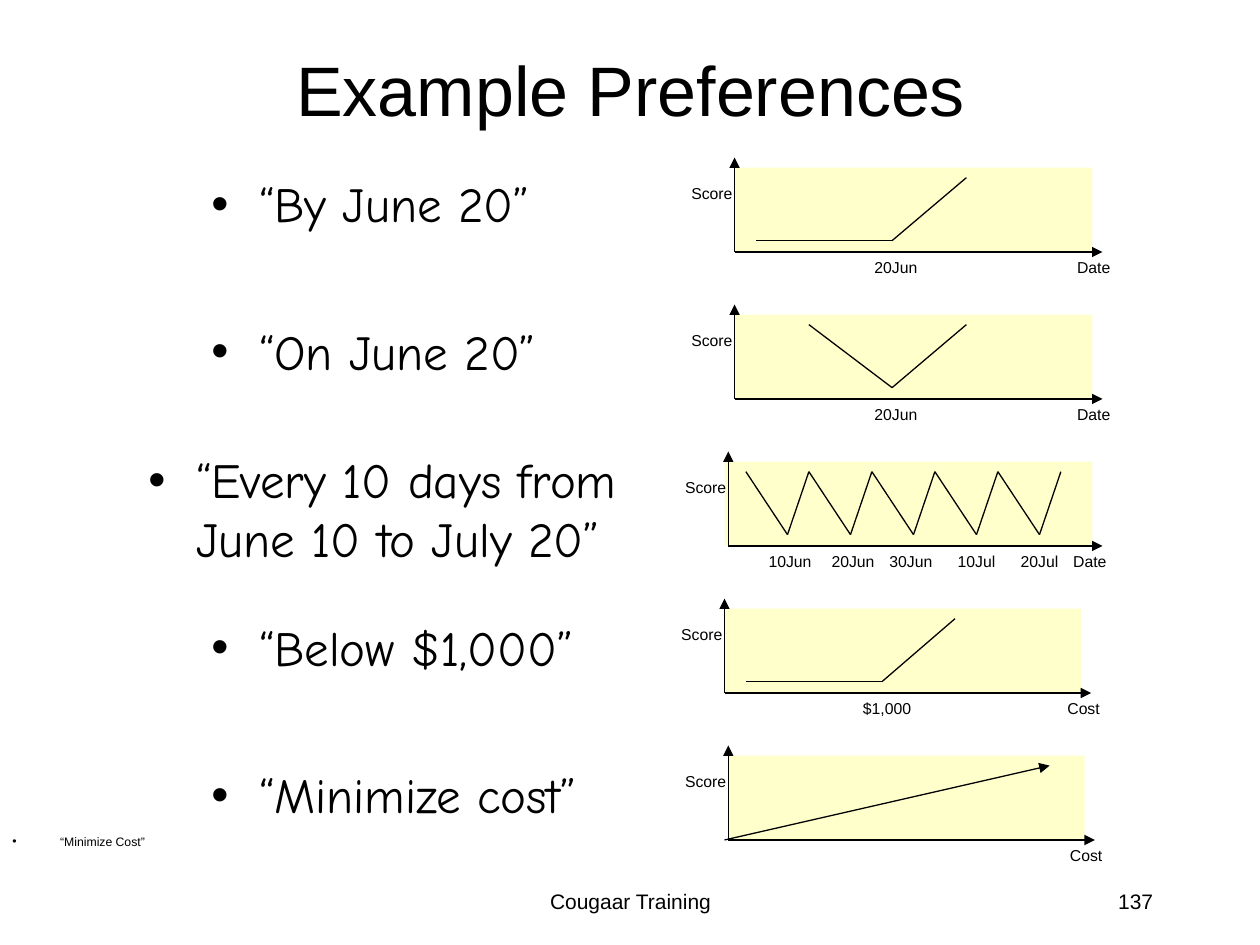
import itertools

import pptx
import pptx.dml.color
import pptx.enum.shapes
import pptx.enum.text
import pptx.oxml
import pptx.oxml.ns
import pptx.util

Inches = pptx.util.Inches
Pt = pptx.util.Pt
ALIGN = pptx.enum.text.PP_ALIGN

BLACK, CREAM = "000000", "FFFFCC"
FIRST_TOP, PITCH = 1.33, 7 / 6
AREA_HEIGHT, HIGH, LOW = 0.67, 0.08, 0.58
LABEL_WIDTH, LABEL_HEIGHT = 0.64, 0.25
INDENT = 0.38

BULLETS = [
    ("“By June 20”", 1.58, 1.33, 3.5, 0.57),
    ("“On June 20”", 1.58, 2.5, 3.5, 0.57),
    ("“Every 10 days from June 10 to July 20”", 1.08, 3.52, 4.33, 1.04),
    ("“Below $1,000”", 1.58, 4.85, 3.5, 0.57),
    ("“Minimize cost”", 1.58, 6.02, 3.5, 0.57),
]
ZIGZAG = [point for step in range(5)
          for point in ((5.92 + step / 2, HIGH), (6.25 + step / 2, LOW))]
CHARTS = [
    {"axis": 5.83, "area": (5.83, 8.67), "labels": [("20Jun", 7.11), ("Date", 8.68)],
     "curve": [(6, LOW), (7.08, LOW), (7.67, HIGH)]},
    {"axis": 5.83, "area": (5.83, 8.67), "labels": [("20Jun", 7.11), ("Date", 8.68)],
     "curve": [(6.42, HIGH), (7.08, LOW), (7.67, HIGH)]},
    {"axis": 5.78, "area": (5.75, 8.67),
     "labels": [("10Jun", 6.27), ("20Jun", 6.77), ("30Jun", 7.23), ("10Jul", 7.75),
                ("20Jul", 8.25), ("Date", 8.65)],
     "curve": ZIGZAG + [(8.42, HIGH)]},
    {"axis": 5.75, "area": (5.75, 8.58), "labels": [("$1,000", 7.04), ("Cost", 8.6)],
     "curve": [(5.92, LOW), (7, LOW), (7.58, HIGH)]},
    {"axis": 5.78, "area": (5.78, 8.61), "labels": [("Cost", 8.62)],
     "curve": [(5.75, AREA_HEIGHT), (8.33, HIGH)], "arrow": True},
]


def color(value):
    """Turn a hex string into a colour."""
    return pptx.dml.color.RGBColor.from_string(value)


def add_child(parent, tag, **attributes):
    """Append a DrawingML element with the given attributes."""
    child = pptx.oxml.parse_xml(f"<a:{tag} {pptx.oxml.ns.nsdecls('a')}/>")
    for name, value in attributes.items():
        child.set(name, str(value))
    parent.append(child)


def add_line(shapes, start, end, arrow=False):
    """Draw a thin black line, with an arrowhead at its end if asked."""
    line = shapes.add_connector(pptx.enum.shapes.MSO_CONNECTOR.STRAIGHT,
                                *(Inches(value) for value in (*start, *end)))
    line.line.color.rgb = color(BLACK)
    line.line.width = Pt(0.75)
    if arrow:
        add_child(line.line._get_or_add_ln(), "tailEnd", type="triangle")
    add_child(line._element.spPr, "effectLst")


def add_text(shapes, text, box, size, align=ALIGN.LEFT, font="Arial", wrap=True, bullet=False):
    """Add a one-paragraph text box, bulleted if asked."""
    shape = shapes.add_textbox(*(Inches(value) for value in box))
    shape.text_frame.word_wrap = wrap
    paragraph = shape.text_frame.paragraphs[0]
    paragraph.text = text
    paragraph.alignment = align
    if bullet:
        properties = paragraph._p.get_or_add_pPr()
        properties.set("marL", str(Inches(INDENT)))
        properties.set("indent", str(-Inches(INDENT)))
        add_child(properties, "buFont", typeface="Arial")
        add_child(properties, "buChar", char="•")
    format_font(paragraph, size, font)


def format_font(paragraph, size, name):
    """Set size, typeface and black colour for a whole paragraph."""
    paragraph.font.size = Pt(size)
    paragraph.font.name = name
    paragraph.font.color.rgb = color(BLACK)


def add_preference_chart(slide, chart, top):
    """Draw one score sketch as a group: area, axes, labels and curve."""
    shapes = slide.shapes.add_group_shape().shapes
    left, right = chart["area"]
    axis, bottom = chart["axis"], top + AREA_HEIGHT
    area = shapes.add_shape(pptx.enum.shapes.MSO_SHAPE.RECTANGLE, Inches(left), Inches(top),
                            Inches(right - left), Inches(AREA_HEIGHT))
    area.shadow.inherit = False
    area.fill.solid()
    area.fill.fore_color.rgb = color(CREAM)
    area.line.fill.background()
    for end in ((axis, top - 0.08), (right + 0.08, bottom)):
        add_line(shapes, (axis, bottom), end, arrow=True)
    labels = [(text, center, bottom) for text, center in chart["labels"]]
    for text, center, label_top in labels + [("Score", axis - 0.18, top + 0.08)]:
        box = (center - LABEL_WIDTH / 2, label_top, LABEL_WIDTH, LABEL_HEIGHT)
        add_text(shapes, text, box, 9, ALIGN.CENTER, wrap=False)
    points = [(x, top + y) for x, y in chart["curve"]]
    for start, end in itertools.pairwise(points):
        add_line(shapes, start, end, chart.get("arrow", False))


def main():
    """Build the slide and save it."""
    presentation = pptx.Presentation()
    presentation.slide_width, presentation.slide_height = Inches(10), Inches(7.5)
    slide = presentation.slides.add_slide(presentation.slide_layouts[5])
    title = slide.shapes.title
    title.left, title.top, title.width, title.height = map(Inches, (1.42, 0.08, 7.17, 1.25))
    title.text_frame.text = "Example Preferences"
    title.text_frame.vertical_anchor = pptx.enum.text.MSO_ANCHOR.MIDDLE
    title.text_frame.paragraphs[0].alignment = ALIGN.CENTER
    format_font(title.text_frame.paragraphs[0], 40, "Arial")

    add_text(slide.shapes, "“Minimize Cost”", (0, 6.57, 4.33, 0.3), 7, bullet=True)
    for index, chart in enumerate(CHARTS):
        add_preference_chart(slide, chart, FIRST_TOP + index * PITCH)
    for text, *box in BULLETS:
        add_text(slide.shapes, text, box, 28, font="Comic Neue", bullet=True)
    add_text(slide.shapes, "Cougaar Training", (3.42, 7, 3.17, 0.5), 12, ALIGN.CENTER)
    add_text(slide.shapes, "137", (7.17, 7, 2.08, 0.5), 12, ALIGN.RIGHT)
    presentation.save("out.pptx")


if __name__ == "__main__":
    main()
